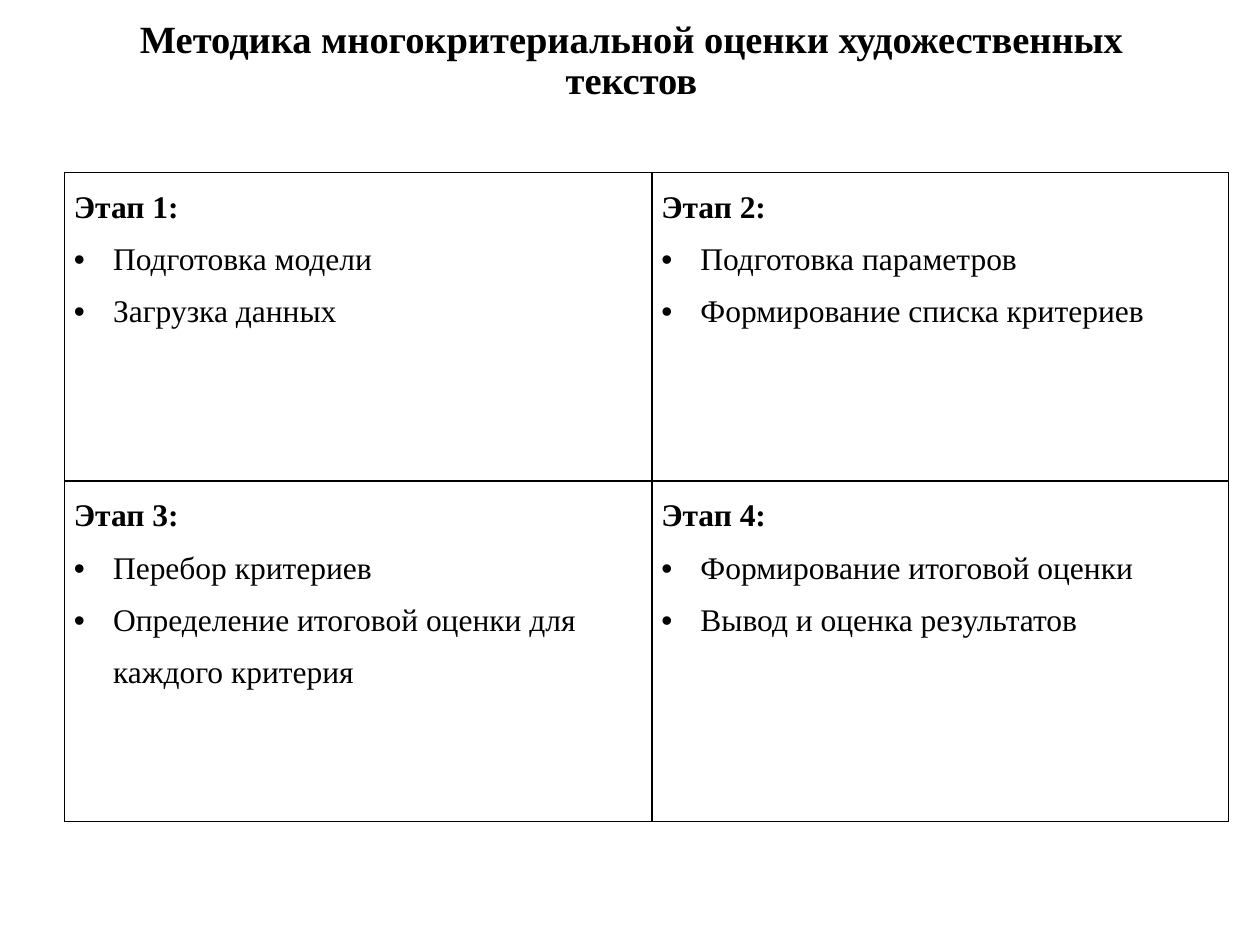
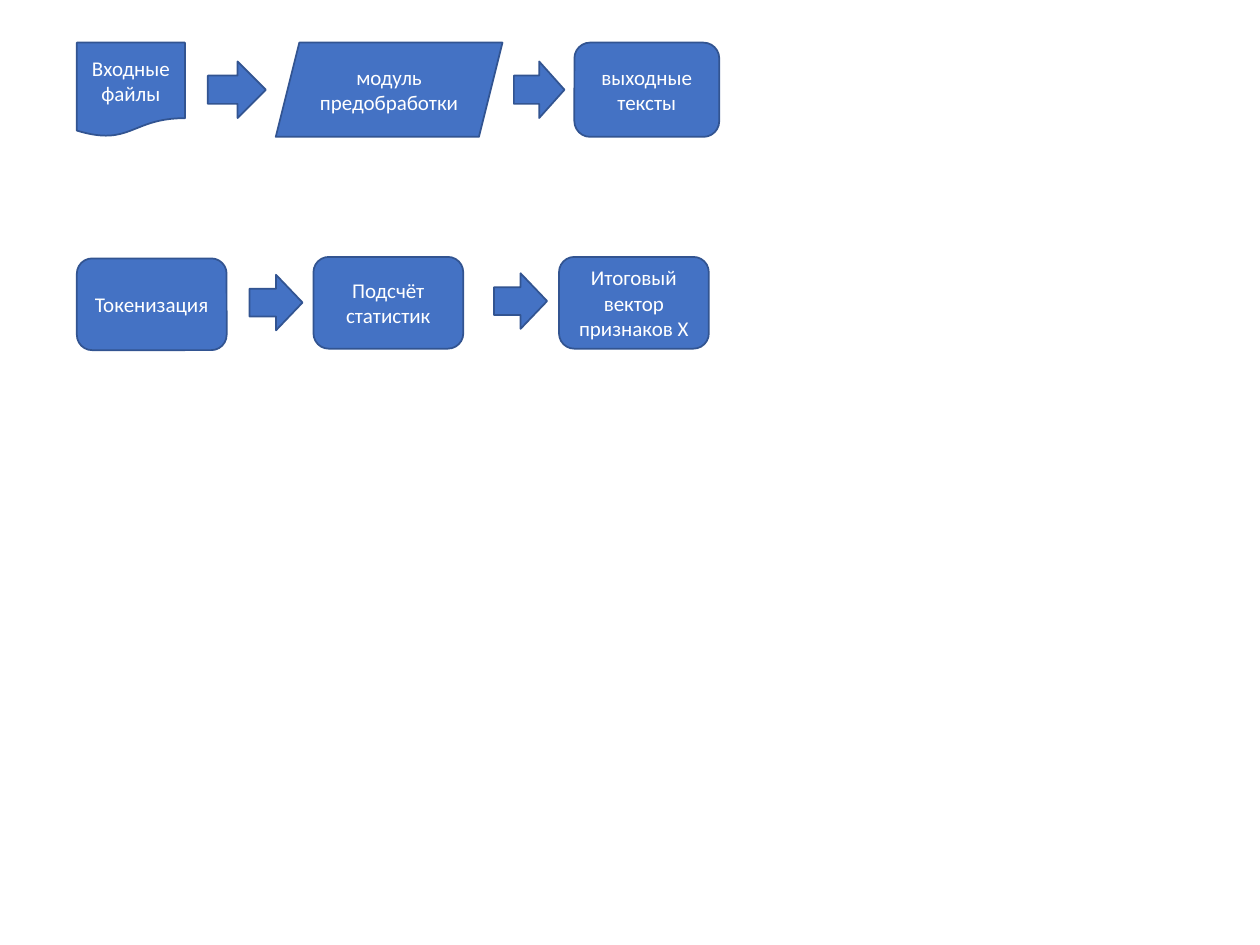
"""Two slides: a table of assessment stages and the text processing flow."""
from lxml import etree
from pptx import Presentation
from pptx import util as u
from pptx.dml.color import RGBColor
from pptx.enum import shapes, text
from pptx.oxml import ns

hues = {"ink": "000000", "box": "4472C4", "edge": "325491", "pale": "FFFFFF"}
serif, sans = "Times New Roman", "Calibri"


def add_run(para, words, face, size, hue, bold=False):
    run = para.add_run()
    run.text = words
    run.font.name = face
    run.font.size = u.Pt(size)
    run.font.bold = bold
    run.font.color.rgb = RGBColor.from_string(hues[hue])


def add_node(root, tag, **attrs):
    return etree.SubElement(root, ns.qn(tag), attrs)


deck = Presentation()
deck.slide_width, deck.slide_height = u.Cm(25.4), u.Cm(19.05)
blank = deck.slide_layouts[6]

slide = deck.slides.add_slide(blank)
stages = [
    ("Этап 1:", "Подготовка модели", "Загрузка данных"),
    ("Этап 2:", "Подготовка параметров", "Формирование списка критериев"),
    ("Этап 3:", "Перебор критериев", "Определение итоговой оценки для каждого критерия"),
    ("Этап 4:", "Формирование итоговой оценки", "Вывод и оценка результатов"),
]
wides, talls = (11.84, 11.63), (6.22, 6.86)
frame = slide.shapes.add_table(2, 2, u.Cm(1.3), u.Cm(3.48), u.Cm(sum(wides)), u.Cm(sum(talls)))
table = frame.table
table.first_row = table.horz_banding = False
for col, wide in zip(table.columns, wides):
    col.width = u.Cm(wide)
for row, tall in zip(table.rows, talls):
    row.height = u.Cm(tall)

for cell, lines in zip(table.iter_cells(), stages):
    cell.margin_left = cell.margin_right = u.Cm(0.19)
    cell.margin_top = cell.margin_bottom = 0
    props = cell._tc.get_or_add_tcPr()
    for side in ("a:lnL", "a:lnR", "a:lnT", "a:lnB"):
        edge = add_node(props, side, w=str(u.Pt(1)))
        add_node(add_node(edge, "a:solidFill"), "a:srgbClr", val=hues["ink"])
    cell.fill.background()
    body = cell.text_frame
    for i, line in enumerate(lines):
        para = body.add_paragraph() if i else body.paragraphs[0]
        para.line_spacing = 1.5
        if i:
            props = para._p.get_or_add_pPr()
            props.set("marL", str(u.Cm(0.79)))
            props.set("indent", str(-u.Cm(0.79)))
            add_node(props, "a:buFont", typeface="Arial")
            add_node(props, "a:buChar", char="•")
        add_run(para, line, serif, 18, "ink", bold=i == 0)

title = slide.shapes.add_textbox(u.Cm(1.3), u.Cm(0.28), u.Cm(22.86), u.Cm(2.46))
title.text_frame.word_wrap = True
para = title.text_frame.paragraphs[0]
para.alignment = text.PP_ALIGN.CENTER
para.line_spacing = 0.9
add_run(para, "Методика многокритериальной оценки художественных текстов", serif, 22, "ink", bold=True)

slide = deck.slides.add_slide(blank)
kinds = shapes.MSO_SHAPE
sheet, slant = kinds.FLOWCHART_DOCUMENT, kinds.PARALLELOGRAM
card, arrow = kinds.ROUNDED_RECTANGLE, kinds.RIGHT_ARROW
flow = [
    (sheet, 1.55, 0.86, 2.18, 1.9, "Входные файлы"),
    (arrow, 4.19, 1.24, 1.17, 1.14, ""),
    (slant, 5.56, 0.86, 4.57, 1.9, "модуль предобработки"),
    (arrow, 10.36, 1.24, 1.02, 1.14, ""),
    (card, 11.58, 0.86, 2.92, 1.9, "выходные тексты"),
    (card, 1.55, 5.21, 3.02, 1.85, "Токенизация"),
    (arrow, 5.03, 5.54, 1.07, 1.12, ""),
    (card, 6.32, 5.18, 3.02, 1.85, "Подсчёт статистик"),
    (arrow, 9.96, 5.51, 1.07, 1.12, ""),
    (card, 11.27, 5.18, 3.02, 1.85, "Итоговый вектор признаков X"),
]
for kind, left, top, wide, tall, words in flow:
    shape = slide.shapes.add_shape(kind, u.Cm(left), u.Cm(top), u.Cm(wide), u.Cm(tall))
    shape.shadow.inherit = False
    shape.fill.solid()
    shape.fill.fore_color.rgb = RGBColor.from_string(hues["box"])
    shape.line.color.rgb = RGBColor.from_string(hues["edge"])
    shape.line.width = u.Pt(1)
    if words:
        body = shape.text_frame
        body.word_wrap = True
        body.vertical_anchor = text.MSO_ANCHOR.MIDDLE
        body.paragraphs[0].alignment = text.PP_ALIGN.CENTER
        add_run(body.paragraphs[0], words, sans, 12, "pale")

deck.save("out.pptx")
